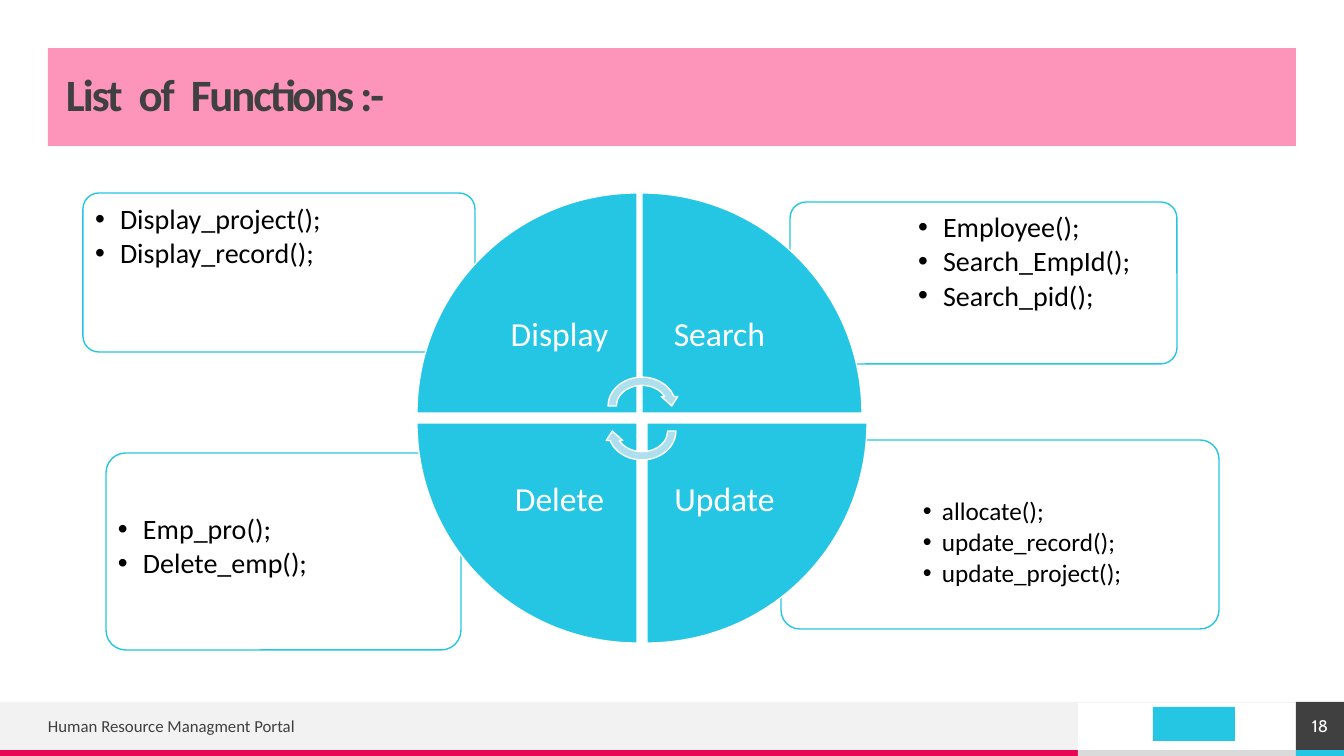
import pptx
import pptx.dml.color
import pptx.enum.shapes
import pptx.enum.text
import pptx.oxml
import pptx.oxml.ns
import pptx.util

PX = 12192000 / 1344
SHAPE = pptx.enum.shapes.MSO_SHAPE
ALIGN = pptx.enum.text.PP_ALIGN
ANCHOR = pptx.enum.text.MSO_ANCHOR
CYAN, PALE_CYAN, PINK, RED = "25C6E3", "ADDFEF", "FD94B9", "E80554"
DARK, BLACK, WHITE, PALE, GREY = "404040", "000000", "FFFFFF", "F2F2F2", "DADADA"

# box, text box offset and width within it, size, bullet indent, lines
CARDS = [
    ((781, 440, 438, 189), (135, 52, 298), 18, 19, 7,
     ["allocate();", "update_record();", "update_project();"]),
    ((106, 453, 355, 197), (4, 54, 240), 20, 25, 8,
     ["Emp_pro();", "Delete_emp();"]),
    ((790, 202, 387, 162), (120, 3, 263), 20, 25, 8,
     ["Employee();", "Search_EmpId();", "Search_pid();"]),
    ((83, 193, 392, 159), (4, 4, 268), 20, 25, 8,
     ["Display_project();", "Display_record();"]),
]
# label, left, top, rotation
WEDGES = [("Display", 0, 0, 0), ("Search", 225, 0, 90),
          ("Update", 230, 230, 180), ("Delete", 0, 230, 270)]


def px(length):
    return pptx.util.Emu(round(length * PX))


def rgb(color):
    return pptx.dml.color.RGBColor.from_string(color)


def add_block(slide, kind, box, fill, line=None):
    block = slide.shapes.add_shape(kind, *map(px, box))
    block.shadow.inherit = False
    block.fill.solid()
    block.fill.fore_color.rgb = rgb(fill)
    if line:
        block.line.color.rgb = rgb(line)
        block.line.width = pptx.util.Pt(1)
    else:
        block.line.fill.background()
    return block


def prepare_frame(holder, inset=0, anchor=ANCHOR.MIDDLE):
    frame = holder.text_frame
    frame.word_wrap = True
    frame.vertical_anchor = anchor
    frame.margin_left = frame.margin_right = px(inset)
    frame.margin_top = frame.margin_bottom = px(inset)
    return frame


def style(paragraph, size, color, font="Calibri", align=ALIGN.LEFT, spacing=None):
    paragraph.alignment = align
    paragraph.line_spacing = spacing
    for run in paragraph.runs:
        run.font.size = pptx.util.Pt(size)
        run.font.name = font
        run.font.color.rgb = rgb(color)


def add_bullet(paragraph, indent):
    properties = paragraph._p.get_or_add_pPr()
    properties.set("marL", str(px(indent)))
    properties.set("indent", str(-px(indent)))
    namespace = pptx.oxml.ns.nsdecls("a")
    for tag in ('buFont typeface="Arial"', 'buChar char="•"'):
        properties.append(pptx.oxml.parse_xml(f"<a:{tag} {namespace}/>"))


def add_title(slide, box):
    banner = add_block(slide, SHAPE.RECTANGLE, box, PINK)
    frame = prepare_frame(banner)
    frame.margin_left = px(18)
    title = frame.paragraphs[0]
    # The gaps between the words are tracked wider than the words
    for text, tracking in [("List", -150), (" ", 420), ("of", -150),
                           (" ", 420), ("Functions :-", -150)]:
        run = title.add_run()
        run.text = text
        run.font.bold = True
        run._r.get_or_add_rPr().set("spc", str(tracking))
    style(title, 32, DARK, spacing=0.9)


def add_card(slide, box, offset, size, indent, inset, functions):
    left, top, width, height = box
    card = add_block(slide, SHAPE.ROUNDED_RECTANGLE, box, WHITE, CYAN)
    card.adjustments[0] = 0.1
    dx, dy, list_width = offset
    listing = slide.shapes.add_textbox(
        px(left + dx), px(top + dy), px(list_width), px(height - dy - 4))
    frame = prepare_frame(listing, inset, ANCHOR.TOP)
    frame.text = "\n".join(functions)
    for paragraph in frame.paragraphs:
        add_bullet(paragraph, indent)
        style(paragraph, size, BLACK, spacing=0.9)
        paragraph.space_after = pptx.util.Pt(0.15 * size)


def add_cycle(slide, box):
    left, top, width, height = box
    side, label_side = 220, 155
    for label, dx, dy, rotation in WEDGES:
        x, y = left + dx, top + dy
        wedge = add_block(slide, SHAPE.PIE_WEDGE, (x, y, side, side), CYAN, WHITE)
        wedge.rotation = rotation
        # Labels sit against the corner nearest the centre
        label_x = x if dx else x + side - label_side
        label_y = y if dy else y + side - label_side
        holder = slide.shapes.add_textbox(
            *map(px, (label_x, label_y, label_side, label_side)))
        frame = prepare_frame(holder, 19)
        frame.text = label
        style(frame.paragraphs[0], 24, WHITE, align=ALIGN.CENTER, spacing=0.9)
    for dy, rotation in [(180, 0), (205, 180)]:
        arrow_box = (left + width // 2 - 38, top + dy, 76, 66)
        arrow = add_block(slide, SHAPE.CIRCULAR_ARROW, arrow_box, PALE_CYAN, WHITE)
        arrow.rotation = rotation


def add_footer(slide, box):
    left, top, width, height = box
    stripe = 6
    bar = height - stripe
    number_left = left + width - 48
    logo_left = left + 1078
    add_block(slide, SHAPE.RECTANGLE, (left, top, logo_left - left, bar), PALE)
    for start, end, color in [(left, logo_left, RED), (logo_left, number_left, GREY),
                              (number_left, left + width, CYAN)]:
        add_block(slide, SHAPE.RECTANGLE,
                  (start, top + bar, end - start, stripe), color)
    rule = slide.shapes.add_connector(
        pptx.enum.shapes.MSO_CONNECTOR.STRAIGHT,
        px(left + width), px(top), px(left), px(top))
    rule.line.color.rgb = rgb(PALE)
    rule.line.width = pptx.util.Pt(0.5)
    rule._element.spPr.append(pptx.oxml.parse_xml(
        f"<a:effectLst {pptx.oxml.ns.nsdecls('a')}/>"))
    add_block(slide, SHAPE.RECTANGLE, (logo_left + 75, top + 5, 82, 34), CYAN)

    caption = slide.shapes.add_textbox(*map(px, (left + 48, top + 8, 624, 32)))
    frame = prepare_frame(caption)
    frame.text = "Human Resource Managment Portal"
    style(frame.paragraphs[0], 12, DARK)

    number = add_block(slide, SHAPE.RECTANGLE, (number_left, top, 48, bar), DARK)
    frame = prepare_frame(number)
    frame.text = "18"
    style(frame.paragraphs[0], 12, WHITE, "Cabin", ALIGN.CENTER)


def main():
    deck = pptx.Presentation()
    deck.slide_width, deck.slide_height = px(1344), px(756)
    slide = deck.slides.add_slide(deck.slide_layouts[6])
    add_footer(slide, (0, 702, 1344, 54))
    add_title(slide, (48, 48, 1248, 98))
    for card in CARDS:
        add_card(slide, *card)
    add_cycle(slide, (417, 193, 450, 450))
    deck.save("out.pptx")


if __name__ == "__main__":
    main()
